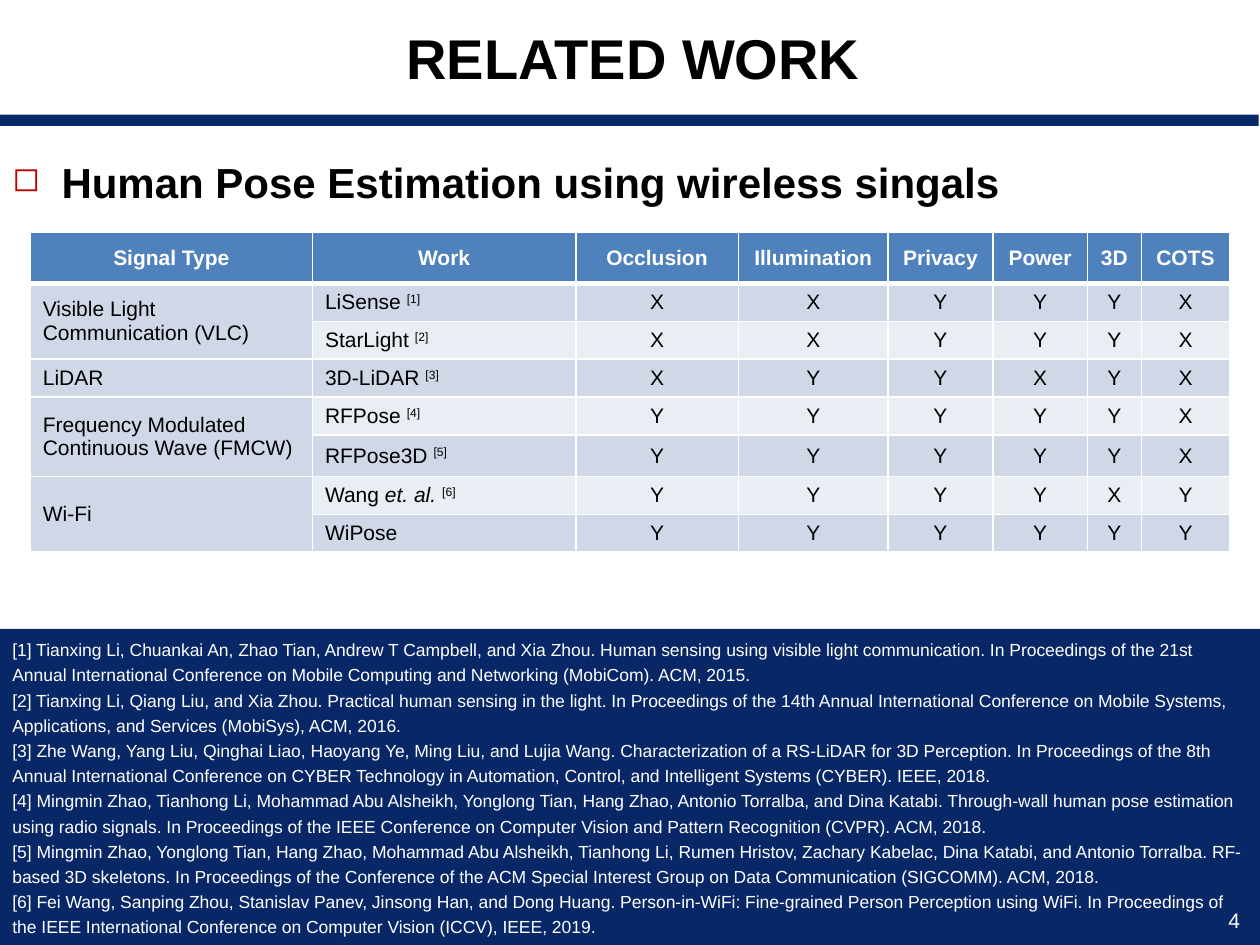
from dataclasses import dataclass
from typing import NamedTuple

from lxml.etree import SubElement as Sub
from pptx import Presentation
from pptx.dml.color import RGBColor as Color
from pptx.enum.shapes import MSO_SHAPE as Shape
from pptx.enum.text import MSO_ANCHOR as Anchor, PP_ALIGN as Align
from pptx.oxml.ns import qn
from pptx.util import Inches, Pt


@dataclass(frozen=True)
class Theme:
    font: str = "Arial"
    navy: str = "082767"
    header: str = "4F81BD"
    bands: tuple = ("D0D8E8", "E9EDF4")
    black: str = "000000"
    white: str = "FFFFFF"
    bullet: str = "C00000"
    title: int = 32
    heading: int = 24
    body: int = 12
    reference: int = 10


class Area(NamedTuple):
    left: float
    top: float
    width: float
    height: float


class Work(NamedTuple):
    name: str
    marks: str
    signal: str = ""
    span: int = 1
    suffix: str = ""
    reference: str = ""


THEME = Theme()
COLUMNS, ROWS = 100, 75
SLIDE_WIDTH, SLIDE_HEIGHT = Inches(10), Inches(7.5)
RULES = (Area(0, 9.1, 99.9, 0.9), Area(0, 71, 99.9, 4))
TABLE_AREA = Area(2.4, 18.4, 95.2, 25.4)
COLUMN_WIDTHS = (22.4, 20.9, 12.9, 11.9, 8.3, 7.5, 4.3, 7)
ROW_HEIGHTS = (4.1, 3, 3, 3, 3, 3.3, 3, 3)
HEADERS = ("Signal Type", "Work", "Occlusion", "Illumination", "Privacy", "Power", "3D", "COTS")
WORKS = (
    Work("LiSense ", "XXYYYX", "Visible Light Communication (VLC)", 2, reference="[1]"),
    Work("StarLight ", "XXYYYX", reference="[2]"),
    Work("3D-LiDAR ", "XYYXYX", "LiDAR", reference="[3]"),
    Work("RFPose ", "YYYYYX", "Frequency Modulated Continuous Wave (FMCW)", 2, reference="[4]"),
    Work("RFPose3D ", "YYYYYX", reference="[5]"),
    Work("Wang ", "YYYYXY", "Wi-Fi", 2, "et. al. ", "[6]"),
    Work("WiPose", "YYYYYY"),
)
REFERENCES = (
    "[1] Tianxing Li, Chuankai An, Zhao Tian, Andrew T Campbell, and Xia Zhou. Human sensing using visible light communication. In Proceedings of the 21st",
    "Annual International Conference on Mobile Computing and Networking (MobiCom). ACM, 2015.",
    "[2] Tianxing Li, Qiang Liu, and Xia Zhou. Practical human sensing in the light. In Proceedings of the 14th Annual International Conference on Mobile Systems, Applications, and Services (MobiSys), ACM, 2016.",
    "[3] Zhe Wang, Yang Liu, Qinghai Liao, Haoyang Ye, Ming Liu, and Lujia Wang. Characterization of a RS-LiDAR for 3D Perception. In Proceedings of the 8th Annual International Conference on CYBER Technology in Automation, Control, and Intelligent Systems (CYBER). IEEE, 2018.",
    "[4] Mingmin Zhao, Tianhong Li, Mohammad Abu Alsheikh, Yonglong Tian, Hang Zhao, Antonio Torralba, and Dina Katabi. Through-wall human pose estimation using radio signals. In Proceedings of the IEEE Conference on Computer Vision and Pattern Recognition (CVPR). ACM, 2018.",
    "[5] Mingmin Zhao, Yonglong Tian, Hang Zhao, Mohammad Abu Alsheikh, Tianhong Li, Rumen Hristov, Zachary Kabelac, Dina Katabi, and Antonio Torralba. RF-based 3D skeletons. In Proceedings of the Conference of the ACM Special Interest Group on Data Communication (SIGCOMM). ACM, 2018.",
    "[6] Fei Wang, Sanping Zhou, Stanislav Panev, Jinsong Han, and Dong Huang. Person-in-WiFi: Fine-grained Person Perception using WiFi. In Proceedings of the IEEE International Conference on Computer Vision (ICCV), IEEE, 2019.",
)


def across(columns: float) -> int:
    return round(SLIDE_WIDTH * columns / COLUMNS)


def down(rows: float) -> int:
    return round(SLIDE_HEIGHT * rows / ROWS)


def place(area: Area) -> tuple:
    return across(area.left), down(area.top), across(area.width), down(area.height)


def style(para, size: int, color: str, bold: bool = False, align=Align.LEFT) -> None:
    para.alignment = align
    font = para.font
    font.name, font.size, font.bold = THEME.font, Pt(size), bold
    font.color.rgb = Color.from_string(color)


def add_bullet(para, indent: float) -> None:
    properties = para._p.get_or_add_pPr()
    properties.set("marL", str(across(indent)))
    properties.set("indent", str(-across(indent)))
    Sub(Sub(properties, qn("a:buClr")), qn("a:srgbClr"), val=THEME.bullet)
    Sub(properties, qn("a:buSzPct"), val="80000")
    Sub(properties, qn("a:buChar"), char="◻")


def add_panel(page, area: Area):
    panel = page.shapes.add_shape(Shape.RECTANGLE, *place(area))
    panel.shadow.inherit = False
    panel.fill.solid()
    panel.fill.fore_color.rgb = Color.from_string(THEME.navy)
    panel.line.fill.background()
    return panel


def add_text(page, area: Area, text: str, anchor=Anchor.MIDDLE):
    frame = page.shapes.add_textbox(*place(area)).text_frame
    frame.word_wrap, frame.vertical_anchor = True, anchor
    frame.text = text
    return frame


def add_references(page) -> None:
    frame = add_panel(page, Area(0, 49.9, 100, 25.1)).text_frame
    frame.word_wrap, frame.vertical_anchor = True, Anchor.TOP
    frame.text = "\n".join(REFERENCES)
    for para in frame.paragraphs:
        para.line_spacing = 1.2
        style(para, THEME.reference, THEME.white)


def paint(cell, fill: str):
    cell.fill.solid()
    cell.fill.fore_color.rgb = Color.from_string(fill)
    cell.vertical_anchor = Anchor.MIDDLE
    return cell.text_frame.paragraphs[0]


def underline(cell, points: float) -> None:
    properties = cell._tc.get_or_add_tcPr()
    border = Sub(properties, qn("a:lnB"), w=str(Pt(points)))
    Sub(Sub(border, qn("a:solidFill")), qn("a:srgbClr"), val=THEME.white)
    properties.insert(0, border)


def fill_cell(cell, text: str, fill: str, color: str, bold: bool = False, align=Align.CENTER) -> None:
    para = paint(cell, fill)
    para.text = text
    style(para, THEME.body, color, bold, align)


def fill_work(cell, work: Work, fill: str) -> None:
    para = paint(cell, fill)
    style(para, THEME.body, THEME.black)
    para.add_run().text = work.name
    if work.suffix:
        span = para.add_run()
        span.text, span.font.italic = work.suffix, True
    if work.reference:
        span = para.add_run()
        span.text = work.reference
        span._r.get_or_add_rPr().set("baseline", "30000")


def add_comparison(page) -> None:
    table = page.shapes.add_table(len(ROW_HEIGHTS), len(COLUMN_WIDTHS), *place(TABLE_AREA)).table
    for column, width in zip(table.columns, COLUMN_WIDTHS):
        column.width = across(width)
    for row, height in zip(table.rows, ROW_HEIGHTS):
        row.height = down(height)
    for index, header in enumerate(HEADERS):
        fill_cell(table.cell(0, index), header, THEME.header, THEME.white, True)
        underline(table.cell(0, index), 3)
    for row, work in enumerate(WORKS, 1):
        band = THEME.bands[(row - 1) % 2]
        if work.signal:
            signal = table.cell(row, 0)
            if work.span > 1:
                signal.merge(table.cell(row + work.span - 1, 0))
            fill_cell(signal, work.signal, THEME.bands[0], THEME.black, align=Align.LEFT)
        fill_work(table.cell(row, 1), work, band)
        for index, mark in enumerate(work.marks, 2):
            fill_cell(table.cell(row, index), mark, band, THEME.black)


def main() -> None:
    """Build the related work slide and save it."""
    deck = Presentation()
    deck.slide_width, deck.slide_height = SLIDE_WIDTH, SLIDE_HEIGHT
    page = deck.slides.add_slide(deck.slide_layouts[6])
    for rule in RULES:
        add_panel(page, rule)
    title = add_text(page, Area(11.7, 0, 77.1, 9.1), "RELATED WORK")
    style(title.paragraphs[0], THEME.title, THEME.black, True, Align.CENTER)
    heading = add_text(page, Area(0, 9.9, 100, 6.6), "Human Pose Estimation using wireless singals", Anchor.TOP)
    para = heading.paragraphs[0]
    add_bullet(para, 3.9)
    para.line_spacing = 1.5
    style(para, THEME.heading, THEME.black, True)
    add_references(page)
    number = add_text(page, Area(95.9, 71, 4.1, 4), "4")
    style(number.paragraphs[0], THEME.body, THEME.white, align=Align.CENTER)
    add_comparison(page)
    deck.save("out.pptx")


if __name__ == "__main__":
    main()
